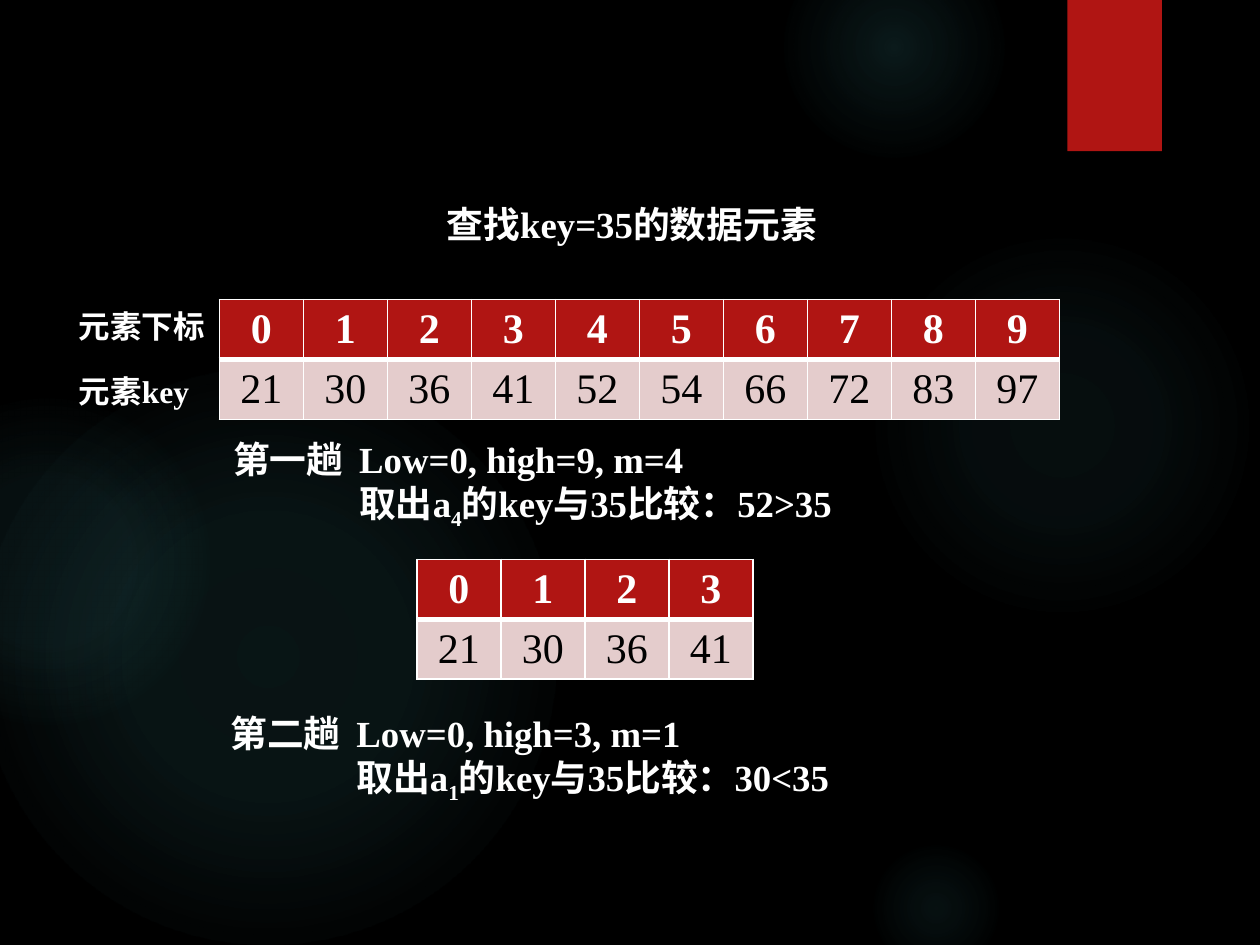
import pptx
import pptx.dml.color
import pptx.enum.shapes
import pptx.enum.text
import pptx.oxml
import pptx.util

Pt = pptx.util.Pt
Shape = pptx.enum.shapes.MSO_SHAPE
Align = pptx.enum.text.PP_ALIGN
Anchor = pptx.enum.text.MSO_ANCHOR
NS = 'xmlns:a="http://schemas.openxmlformats.org/drawingml/2006/main"'


def tint(code):
    return pptx.dml.color.RGBColor.from_string(code)


class Deck:
    serif = "Times New Roman"
    red, pink, white, black, teal = "B01513", "E4CCCC", "FFFFFF", "000000", "50B9C1"
    cell, row = 48, 34.2

    def __init__(self):
        self.file = pptx.Presentation()
        self.file.slide_width, self.file.slide_height = Pt(720), Pt(540)
        self.slide = self.file.slides.add_slide(self.file.slide_layouts[6])
        fill = self.slide.background.fill
        fill.solid()
        fill.fore_color.rgb = tint(self.black)

    def shape(self, kind, *box):
        item = self.slide.shapes.add_shape(kind, *map(Pt, box))
        item.shadow.inherit = False
        item.line.fill.background()
        return item

    def glow(self, left, top, size, core, mid, edge):
        orb = self.shape(Shape.OVAL, left, top, size, size)
        orb.fill.background()
        stops = "".join(
            f'<a:gs pos="{pos * 1000}"><a:srgbClr val="{self.teal}">'
            f'<a:alpha val="{alpha * 1000}"/></a:srgbClr></a:gs>'
            for pos, alpha in ((0, core), (36, mid), (edge, 0)))
        grad = pptx.oxml.parse_xml(
            f'<a:gradFill {NS}><a:gsLst>{stops}</a:gsLst><a:path path="circle">'
            '<a:fillToRect l="50000" t="50000" r="50000" b="50000"/></a:path></a:gradFill>')
        props = orb.element.spPr
        props.replace(props.find(pptx.oxml.ns.qn("a:noFill")), grad)

    def block(self, left, top, wide, high):
        item = self.shape(Shape.RECTANGLE, left, top, wide, high)
        item.fill.solid()
        item.fill.fore_color.rgb = tint(self.red)

    def run(self, para, text, size, font=serif, color=white, bold=True):
        run = para.add_run()
        run.text = text
        style = run.font
        style.size, style.name, style.bold = Pt(size), font, bold
        style.color.rgb = tint(color)
        return run

    def frame(self, *box):
        frame = self.slide.shapes.add_textbox(*map(Pt, box)).text_frame
        frame.word_wrap = True
        return frame

    def label(self, text, left, top, wide, size, font=serif):
        frame = self.frame(left, top, wide, size * 1.6)
        self.run(frame.paragraphs[0], text, size, font)

    def step(self, left, top, name, state, index, result):
        frame = self.frame(left, top, 480, 58.2)
        head, body = frame.paragraphs[0], frame.add_paragraph()
        for para, indent in ((head, -72), (body, 0)):
            props = para._p.get_or_add_pPr()
            props.set("marL", str(Pt(72)))
            props.set("indent", str(Pt(indent)))
        self.run(head, f"{name}\t{state}", 21)
        self.run(body, "取出a", 21)
        sub = self.run(body, index, 21)
        sub._r.get_or_add_rPr().set("baseline", "-25000")
        self.run(body, f"的key与35比较：{result}", 21)

    def border(self, cell, top, bottom):
        props = cell._tc.get_or_add_tcPr()
        for side, width in zip("LRTB", (1, 1, top, bottom)):
            props.append(pptx.oxml.parse_xml(
                f'<a:ln{side} {NS} w="{Pt(width)}"><a:solidFill>'
                f'<a:srgbClr val="{self.white}"/></a:solidFill></a:ln{side}>'))

    def table(self, left, top, keys):
        count = len(keys)
        grid = self.slide.shapes.add_table(
            2, count, Pt(left), Pt(top), Pt(count * self.cell), Pt(2 * self.row)).table
        grid.horz_banding = False
        for col in grid.columns:
            col.width = Pt(self.cell)
        looks = ((range(count), self.red, self.white, True, 1, 3),
                 (keys, self.pink, self.black, False, 3, 1))
        for row, (values, back, ink, bold, over, under) in enumerate(looks):
            grid.rows[row].height = Pt(self.row)
            for col, value in enumerate(values):
                cell = grid.cell(row, col)
                self.border(cell, over, under)
                cell.fill.solid()
                cell.fill.fore_color.rgb = tint(back)
                cell.vertical_anchor = Anchor.MIDDLE
                cell.margin_left = cell.margin_right = Pt(5)
                cell.margin_top = cell.margin_bottom = Pt(2.7)
                para = cell.text_frame.paragraphs[0]
                para.alignment = Align.CENTER
                self.run(para, str(value), 24, color=ink, bold=bold)


def main():
    deck = Deck()
    for orb in ((496, 132, 222, 7, 6, 69), (448, -36, 126, 14, 7, 73),
                (496, 480, 78, 9, 5, 66), (-12, 210, 330, 11, 10, 75),
                (-66, 228, 186, 8, 8, 72)):
        deck.glow(*orb)
    deck.block(610, 0, 54, 86.4)

    keys = [21, 30, 36, 41, 52, 54, 66, 72, 83, 97]
    deck.table(125.4, 171.2, keys)
    deck.label("元素下标", 38, 172, 88, 18, "League Spartan")
    deck.label("元素key", 38, 209, 120, 18)
    deck.label("查找key=35的数据元素", 248.2, 111.6, 307, 21)
    deck.step(126.2, 246, "第一趟", "Low=0, high=9, m=4", "4", "52>35")
    deck.step(124.6, 402.5, "第二趟", "Low=0, high=3, m=1", "1", "30<35")
    deck.table(238.2, 319.7, keys[:4])
    deck.file.save("out.pptx")


if __name__ == "__main__":
    main()
